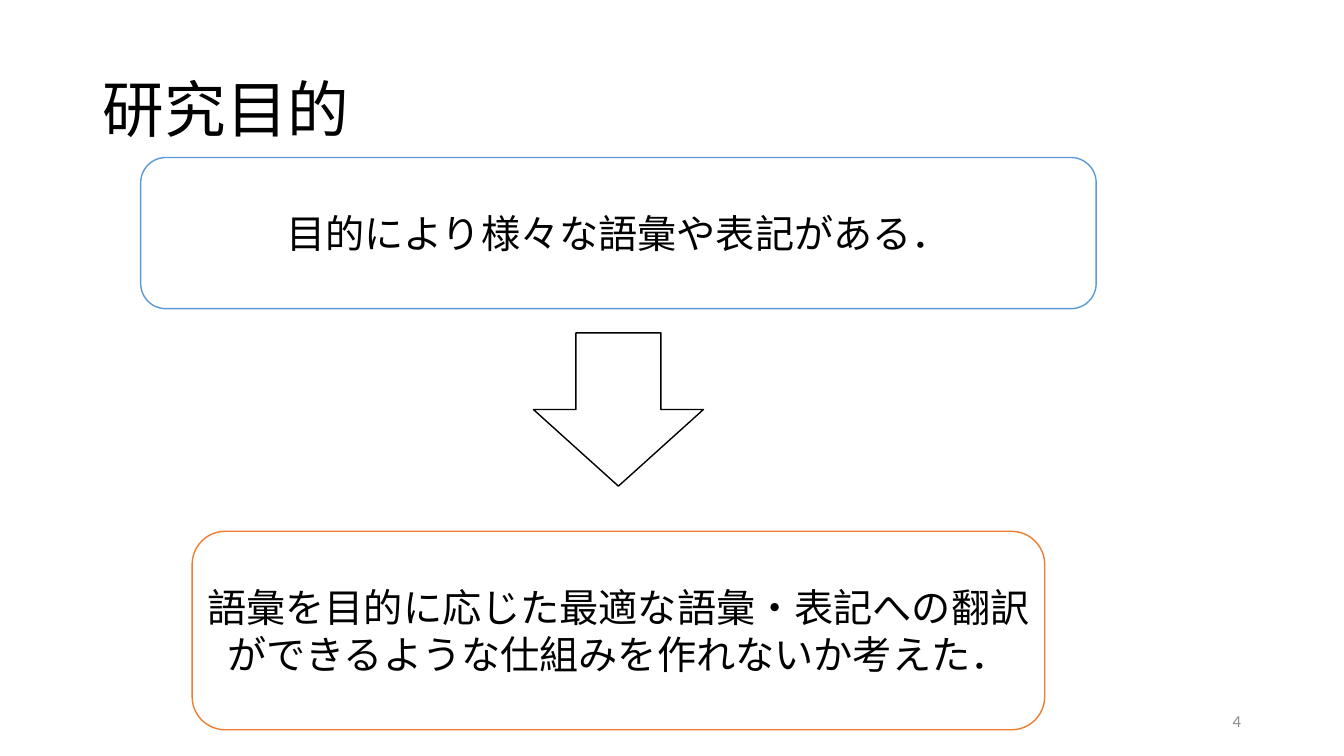
"""Build the research purpose slide: a remark, an arrow and the aim it leads to."""
from pptx import Presentation
from pptx.dml.color import RGBColor
from pptx.enum.shapes import MSO_SHAPE as SHAPE
from pptx.enum.text import MSO_ANCHOR as ANCHOR, PP_ALIGN as ALIGN
from pptx.util import Pt

PX = 9525
BLACK = RGBColor(0x00, 0x00, 0x00)
WHITE = RGBColor(0xFF, 0xFF, 0xFF)
BLUE = RGBColor(0x5B, 0x9B, 0xD5)
ORANGE = RGBColor(0xED, 0x7D, 0x31)
GRAY = RGBColor(0x8C, 0x8C, 0x8C)


def write(shape, text, size=28, font="Calibri", color=BLACK, align=ALIGN.CENTER, space=1.0, inset=10):
    frame = shape.text_frame
    frame.word_wrap = True
    frame.vertical_anchor = ANCHOR.MIDDLE
    frame.margin_left = frame.margin_right = inset * PX
    para = frame.paragraphs[0]
    para.alignment = align
    para.line_spacing = space
    run = para.add_run()
    run.text = text
    run.font.size = Pt(size)
    run.font.name = font
    run.font.color.rgb = color


deck = Presentation()
deck.slide_width, deck.slide_height = 1280 * PX, 720 * PX
slide = deck.slides.add_slide(deck.slide_layouts[5])

title = slide.shapes.title
title.left, title.top, title.width, title.height = 88 * PX, 38 * PX, 1104 * PX, 139 * PX
write(title, "研究目的", size=44, align=ALIGN.LEFT, space=0.9)

MID = 589
BOX, ARROW = SHAPE.FLOWCHART_ALTERNATE_PROCESS, SHAPE.DOWN_ARROW
steps = [
    (BOX, 150, 910, 144, BLUE, "Times New Roman", "目的により様々な語彙や表記がある．"),
    (ARROW, 317, 162, 146, BLACK, None, None),
    (BOX, 506, 812, 189, ORANGE, "Calibri",
     "語彙を目的に応じた最適な語彙・表記への翻訳ができるような仕組みを作れないか考えた．"),
]
for kind, top, width, height, color, font, text in steps:
    left = MID - width // 2
    step = slide.shapes.add_shape(kind, left * PX, top * PX, width * PX, height * PX)
    step.shadow.inherit = False
    step.fill.solid()
    step.fill.fore_color.rgb = WHITE
    step.line.color.rgb = color
    step.line.width = Pt(1)
    if text:
        write(step, text, font=font, inset=0)

number = slide.shapes.add_textbox(904 * PX, 667 * PX, 288 * PX, 38 * PX)
write(number, "4", size=12, color=GRAY, align=ALIGN.RIGHT)

deck.save("out.pptx")
